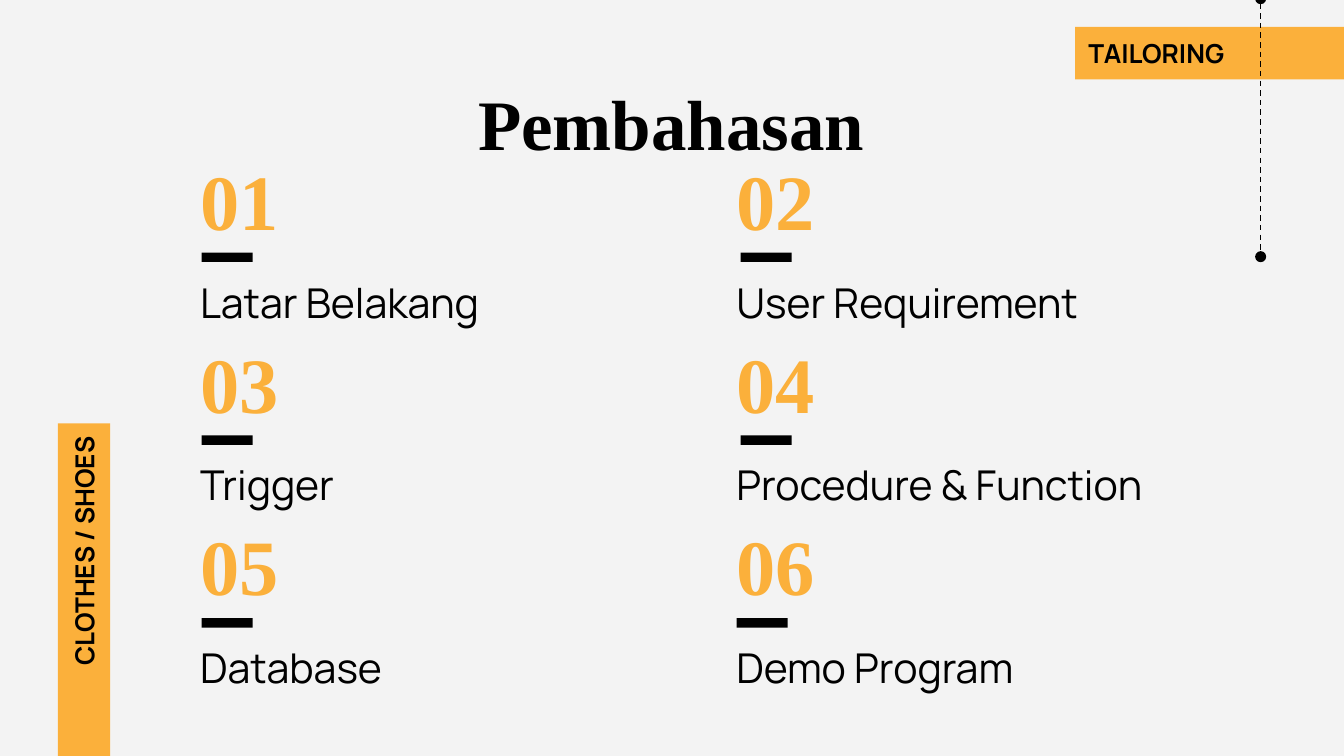
from dataclasses import dataclass

import lxml.etree
import pptx
import pptx.dml.color
import pptx.enum.dml
import pptx.enum.shapes
import pptx.enum.text
import pptx.oxml.ns
import pptx.util

Inches = pptx.util.Inches
Align = pptx.enum.text.PP_ALIGN
Anchor = pptx.enum.text.MSO_ANCHOR


@dataclass(frozen=True)
class Theme:
    paper: str = "F3F3F3"
    ink: str = "000000"
    accent: str = "FBB03B"
    serif: str = "Times New Roman"
    sans: str = "Manrope"
    title_size: int = 38
    number_size: int = 42
    label_size: int = 22
    tag_size: int = 14


THEME = Theme()
TOPICS = [
    "Latar Belakang", "User Requirement",
    "Trigger", "Procedure & Function",
    "Database", "Demo Program",
]


def rgb(value):
    return pptx.dml.color.RGBColor.from_string(value)


def write(shape, text, font, size, color=THEME.ink, bold=False,
          align=Align.LEFT, anchor=Anchor.MIDDLE):
    frame = shape.text_frame
    frame.word_wrap = True
    frame.auto_size = pptx.enum.text.MSO_AUTO_SIZE.NONE
    frame.vertical_anchor = anchor
    frame.margin_left = frame.margin_right = Inches(0.1)
    frame.margin_top = frame.margin_bottom = Inches(0.1)
    para = frame.paragraphs[0]
    para.alignment = align
    span = para.add_run()
    span.text = text
    span.font.name = font
    span.font.size = pptx.util.Pt(size)
    span.font.bold = bold
    span.font.color.rgb = rgb(color)


def add_text(page, left, top, width, height, *content, **style):
    box = page.shapes.add_textbox(
        Inches(left), Inches(top), Inches(width), Inches(height))
    write(box, *content, **style)
    return box


def add_bar(page, left, top, width, height, color):
    bar = page.shapes.add_shape(
        pptx.enum.shapes.MSO_SHAPE.RECTANGLE,
        Inches(left), Inches(top), Inches(width), Inches(height))
    bar.shadow.inherit = False
    bar.fill.solid()
    bar.fill.fore_color.rgb = rgb(color)
    bar.line.fill.background()
    return bar


def add_tag(page, left, top, width, height, text, text_width,
            align=Align.LEFT, rotation=0):
    """Accent band running off the page, its text at the inner end."""
    band = add_bar(page, left, top, width, height, THEME.accent)
    if rotation:
        # Both boxes share a centre line; their turned tops meet
        text_left = left + (width - text_width) / 2
        text_top = top - (width - text_width) / 2
    else:
        text_left, text_top = left, top
    label = add_text(page, text_left, text_top, text_width, height, text,
                     THEME.sans, THEME.tag_size, bold=True, align=align)
    band.rotation = label.rotation = rotation


def add_thread(page, x, top, bottom):
    """Dashed vertical line with a dot at each end."""
    thread = page.shapes.add_connector(
        pptx.enum.shapes.MSO_CONNECTOR.STRAIGHT,
        Inches(x), Inches(top), Inches(x), Inches(bottom))
    thread.line.color.rgb = rgb(THEME.ink)
    thread.line.width = pptx.util.Pt(0.75)
    thread.line.dash_style = pptx.enum.dml.MSO_LINE.DASH
    line = thread.line._get_or_add_ln()
    for end in ("a:headEnd", "a:tailEnd"):
        lxml.etree.SubElement(line, pptx.oxml.ns.qn(end), type="oval")
    lxml.etree.SubElement(
        thread._element.spPr, pptx.oxml.ns.qn("a:effectLst"))


def add_title(page, left, top, width, height, text):
    title = page.shapes.title
    title.left, title.top = Inches(left), Inches(top)
    title.width, title.height = Inches(width), Inches(height)
    write(title, text, THEME.serif, THEME.title_size, bold=True,
          align=Align.CENTER, anchor=Anchor.TOP)


def add_topic(page, left, top, width, number, label, dash_indent):
    add_text(page, left, top, 0.97, 0.64, f"{number:02}", THEME.serif,
             THEME.number_size, color=THEME.accent, bold=True)
    add_bar(page, left + dash_indent, top + 0.72, 0.38, 0.07, THEME.ink)
    add_text(page, left, top + 0.89, width, 0.39, label, THEME.sans,
             THEME.label_size)


def add_topics(page, left, top, column_step, row_step):
    """Two-column grid of numbered topics."""
    dash_indents = [0.11, 0.13, 0.11, 0.13, 0.11, 0.1]
    for index, (label, indent) in enumerate(zip(TOPICS, dash_indents)):
        row, column = divmod(index, 2)
        add_topic(page, left + column * column_step, top + row * row_step,
                  3.32, index + 1, label, indent)


def main():
    deck = pptx.Presentation()
    # Widescreen page, 16:9
    deck.slide_width = Inches(10)
    deck.slide_height = deck.slide_width * 9 // 16
    page = deck.slides.add_slide(deck.slide_layouts[5])
    page.background.fill.solid()
    page.background.fill.fore_color.rgb = rgb(THEME.paper)

    # Edge decoration
    add_tag(page, -0.68, 4.26, 2.61, 0.39, "CLOTHES / SHOES", 2.47,
            align=Align.RIGHT, rotation=270)
    add_tag(page, 8, 0.2, 2.36, 0.39, "TAILORING", 1.79)
    add_thread(page, 9.38, -0.01, 1.91)

    # Contents
    add_title(page, 0.62, 0.49, 8.75, 0.63, "Pembahasan")
    add_topics(page, 1.39, 1.16, column_step=3.99, row_step=1.36)

    deck.save("out.pptx")


if __name__ == "__main__":
    main()
